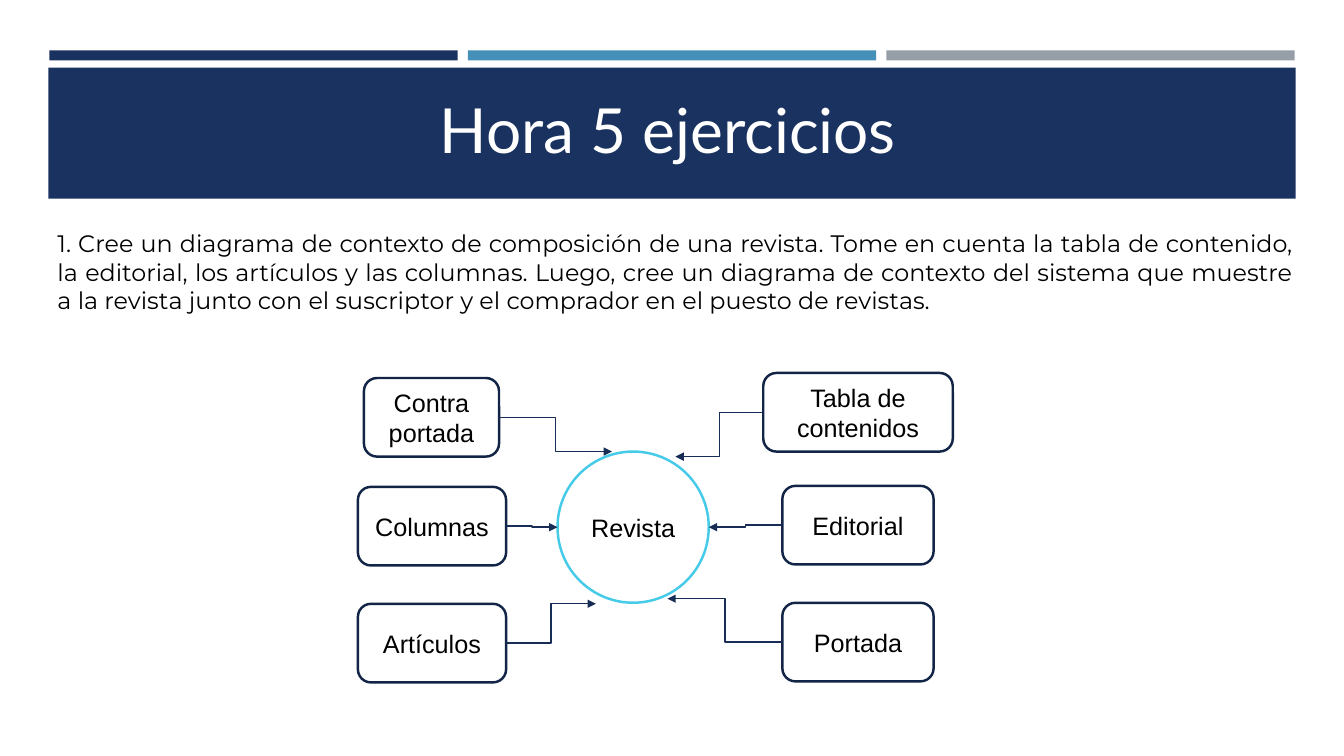
from lxml.etree import SubElement
from pptx import Presentation
from pptx.dml.color import RGBColor
from pptx.enum.shapes import MSO_CONNECTOR as Connector, MSO_SHAPE as Shape
from pptx.enum.text import MSO_ANCHOR as Anchor, MSO_AUTO_SIZE as AutoSize, PP_ALIGN as Align
from pptx.oxml.ns import qn
from pptx.util import Emu, Pt

NAVY = RGBColor(0x1A, 0x32, 0x60)
BLUE = RGBColor(0x45, 0x90, 0xB8)
GRAY = RGBColor(0x96, 0x9F, 0xA7)
CYAN = RGBColor(0x45, 0xCB, 0xE8)
OUTLINE = RGBColor(0x13, 0x25, 0x47)
ARROW = RGBColor(0x17, 0x2D, 0x56)
BLACK = RGBColor(0, 0, 0)
WHITE = RGBColor(255, 255, 255)

SCALE = 9144  # EMU per px, 100 px to the inch


def px(*lengths):
    return [Emu(length * SCALE) for length in lengths]


class SlideBuilder:
    title_font, body_font, label_font = "Lato", "Montserrat", "Arial"

    def __init__(self, slide):
        self.slide = slide
        self.shapes = slide.shapes

    def add_text(self, shape, text, font, size, color, align, anchor):
        frame = shape.text_frame
        frame.word_wrap = True
        frame.auto_size = AutoSize.NONE
        frame.vertical_anchor = anchor
        paragraph = frame.paragraphs[0]
        paragraph.alignment = align
        paragraph.space_before = Pt(0)
        run = paragraph.add_run()
        run.text = text
        run.font.name = font
        run.font.size = Pt(size)
        run.font.color.rgb = color
        return paragraph

    def place(self, placeholder, box):
        placeholder.left, placeholder.top, placeholder.width, placeholder.height = px(*box)

    def title(self, text, box):
        title = self.shapes.title
        self.place(title, box)
        title.element.getparent().append(title.element)  # in front of the banner
        self.add_text(title, text, self.title_font, 44.4, WHITE, Align.CENTER, Anchor.MIDDLE)

    def body(self, text, box):
        body = self.slide.placeholders[1]
        self.place(body, box)
        paragraph = self.add_text(body, text, self.body_font, 17, BLACK, Align.JUSTIFY, Anchor.TOP)
        properties = paragraph._p.get_or_add_pPr()
        properties.set("marL", "0")
        properties.set("indent", "0")
        SubElement(properties, qn("a:buNone"))

    def band(self, box, color):
        band = self.shapes.add_shape(Shape.RECTANGLE, *px(*box))
        band.shadow.inherit = False
        band.fill.solid()
        band.fill.fore_color.rgb = color
        band.line.fill.background()

    def node(self, kind, text, box, color):
        node = self.shapes.add_shape(kind, *px(*box))
        node.shadow.inherit = False
        node.fill.background()
        node.line.color.rgb = color
        node.line.width = Pt(1.75)
        self.add_text(node, text, self.label_font, 18, BLACK, Align.CENTER, Anchor.MIDDLE)

    def arrow(self, start, end):
        arrow = self.shapes.add_connector(Connector.ELBOW, *px(*start, *end))
        arrow.line.color.rgb = ARROW
        arrow.line.width = Pt(1)
        properties = arrow.element.spPr
        SubElement(properties.find(qn("a:ln")), qn("a:tailEnd"), type="triangle")
        SubElement(properties, qn("a:effectLst"))


def main():
    presentation = Presentation()
    presentation.slide_width, presentation.slide_height = px(1333, 750)
    builder = SlideBuilder(presentation.slides.add_slide(presentation.slide_layouts[1]))

    # Header bands and title
    for column, color in enumerate((NAVY, BLUE, GRAY)):
        builder.band((49 + 415 * column, 50, 405, 10), color)
    builder.band((48, 67, 1237, 130), NAVY)
    builder.title("Hora 5 ejercicios", (77, 87, 1171, 82))

    # Exercise statement
    builder.body(
        "1. Cree un diagrama de contexto de composición de una revista. "
        "Tome en cuenta la tabla de contenido, la editorial, los artículos y las columnas. "
        "Luego, cree un diagrama de contexto del sistema que muestre a la revista "
        "junto con el suscriptor y el comprador en el puesto de revistas.",
        (47, 222, 1246, 96),
    )

    # Context diagram: each part points to the magazine
    builder.node(Shape.OVAL, "Revista", (553, 448, 150, 150), CYAN)
    center, height = 628, 78
    parts = [  # text, left, top, width, arrow tip
        ("Contra portada", 361, 375, 134, (607, 448)),
        ("Columnas", 355, 483, 147, (553, 523)),
        ("Artículos", 355, 599, 147, (591, 599)),
        ("Tabla de contenidos", 757, 370, 188, (670, 453)),
        ("Editorial", 776, 482, 150, (703, 523)),
        ("Portada", 776, 598, 150, (662, 594)),
    ]
    for text, left, top, width, tip in parts:
        builder.node(Shape.ROUNDED_RECTANGLE, text, (left, top, width, height), OUTLINE)
        inner_edge = left + width if left < center else left
        builder.arrow((inner_edge, top + height // 2), tip)

    presentation.save("out.pptx")


if __name__ == "__main__":
    main()
